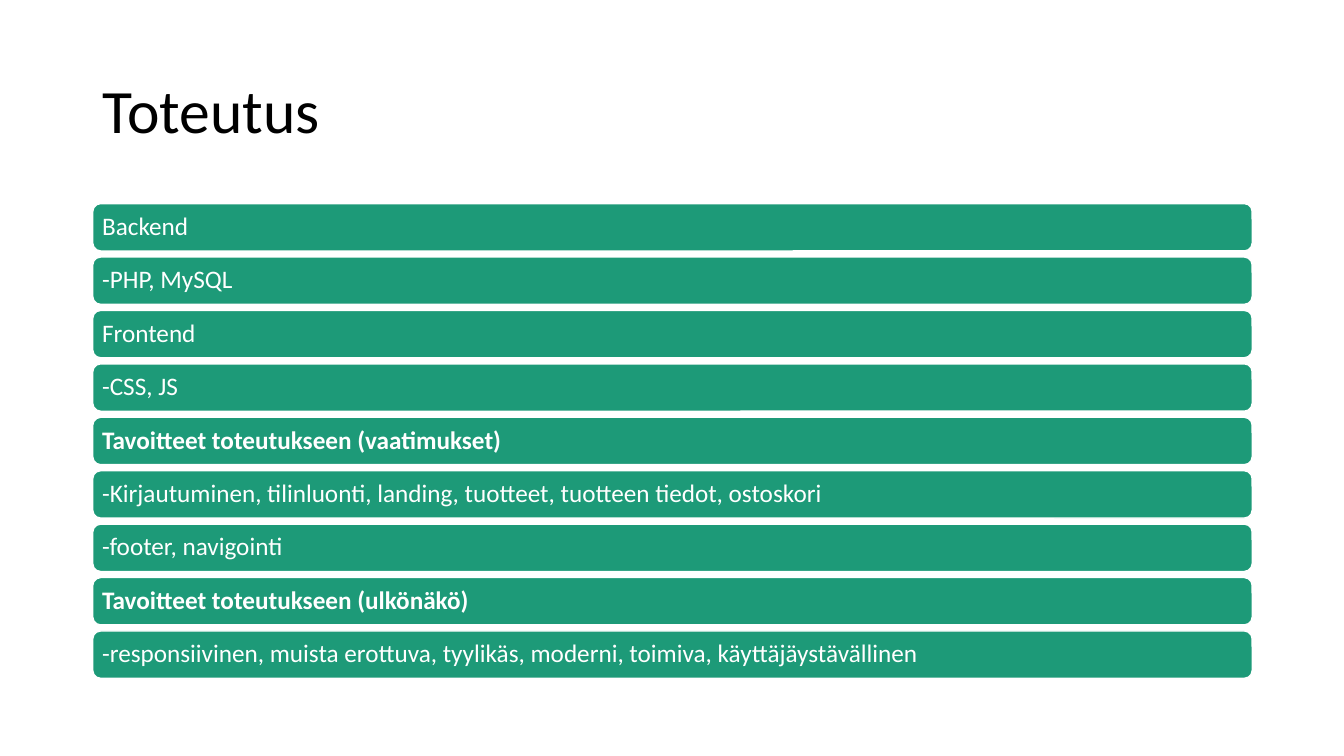
from dataclasses import dataclass

from pptx import Presentation
from pptx.dml.color import RGBColor
from pptx.enum.shapes import MSO_SHAPE
from pptx.enum.text import MSO_ANCHOR, PP_ALIGN
from pptx.util import Pt

ROUND = MSO_SHAPE.ROUNDED_RECTANGLE
MIDDLE = MSO_ANCHOR.MIDDLE
LEFT = PP_ALIGN.LEFT
PX = 9144


@dataclass(frozen=True)
class Theme:
    font: str = "Calibri"
    ink: str = "000000"
    paper: str = "FFFFFF"
    bar: str = "1D9A78"
    title: int = 44
    body: int = 18


THEME = Theme()
EDGE, WIDTH = 92, 1150
TOP, HEIGHT, PITCH = 202, 47, 53

ROWS = [
    ("Backend", False),
    ("-PHP, MySQL", False),
    ("Frontend", False),
    ("-CSS, JS", False),
    ("Tavoitteet toteutukseen (vaatimukset)", True),
    ("-Kirjautuminen, tilinluonti, landing, tuotteet, tuotteen tiedot, ostoskori", False),
    ("-footer, navigointi", False),
    ("Tavoitteet toteutukseen (ulkönäkö)", True),
    ("-responsiivinen, muista erottuva, tyylikäs, moderni, toimiva, käyttäjäystävällinen", False),
]


def px(*sizes):
    return [size * PX for size in sizes]


def color(code):
    return RGBColor.from_string(code)


def write(shape, text, *, size, ink, bold=False, pad=(10, 5)):
    frame = shape.text_frame
    frame.word_wrap = True
    frame.vertical_anchor = MIDDLE
    side, cap = px(*pad)
    frame.margin_left = frame.margin_right = side
    frame.margin_top = frame.margin_bottom = cap
    para = frame.paragraphs[0]
    para.alignment = LEFT
    para.line_spacing = 0.9
    run = para.add_run()
    run.text = text
    run.font.name = THEME.font
    run.font.size = Pt(size)
    run.font.bold = bold
    run.font.color.rgb = color(ink)


def add_title(slide, text):
    box = slide.shapes.add_textbox(*px(EDGE, 40, WIDTH, 145))
    write(box, text, size=THEME.title, ink=THEME.ink)


def add_bar(slide, top, text, bold):
    bar = slide.shapes.add_shape(ROUND, *px(EDGE, top, WIDTH, HEIGHT))
    bar.shadow.inherit = False
    bar.fill.solid()
    bar.fill.fore_color.rgb = color(THEME.bar)
    bar.line.color.rgb = color(THEME.paper)
    bar.line.width = Pt(1)
    write(bar, text, size=THEME.body, ink=THEME.paper, bold=bold, pad=(7, 7))


def main():
    deck = Presentation()
    deck.slide_width, deck.slide_height = px(1333, 750)
    slide = deck.slides.add_slide(deck.slide_layouts[6])
    add_title(slide, "Toteutus")
    for index, (text, bold) in enumerate(ROWS):
        add_bar(slide, TOP + index * PITCH, text, bold)
    deck.save("out.pptx")


if __name__ == "__main__":
    main()
